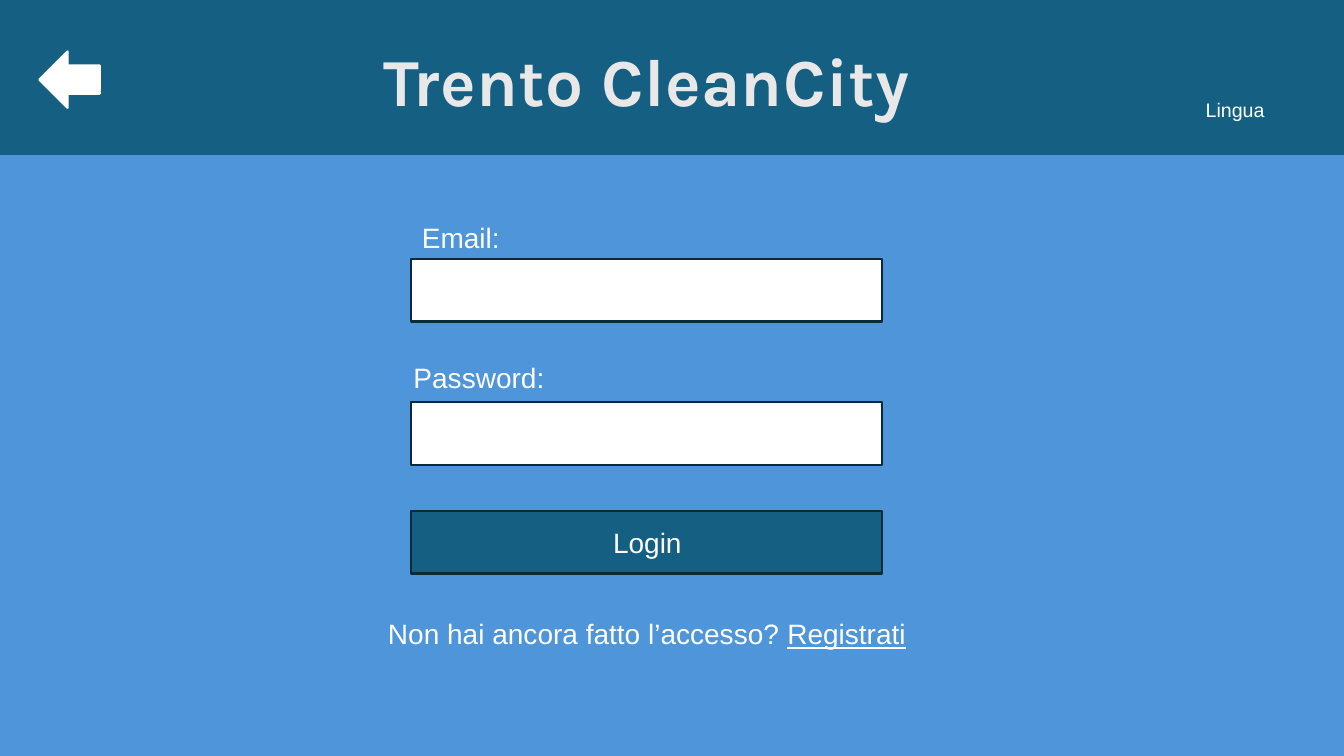
"""Build the login screen of the Trento CleanCity app as one slide."""
from dataclasses import dataclass

from pptx import Presentation
from pptx.dml.color import RGBColor
from pptx.enum.shapes import MSO_SHAPE as Preset
from pptx.enum.text import MSO_AUTO_SIZE as AutoSize, PP_ALIGN as Align
from pptx.slide import Slide
from pptx.util import Inches, Pt

SLIDE_WIDTH, SLIDE_HEIGHT = Inches(13.33), Inches(7.5)


@dataclass(frozen=True)
class Theme:
    """Colours, fonts and type sizes of the slide."""
    header: str = "156082"
    body: str = "4E95D9"
    outline: str = "092A39"
    white: str = "FFFFFF"
    title: str = "E8E8E8"
    text_font: str = "Arial"
    title_font: str = "Karla"
    small_size: int = 14
    text_size: int = 20
    title_size: int = 48
    line_width: float = 1.5
    title_tracking: str = "30"


THEME = Theme()


@dataclass(frozen=True)
class Area:
    """A rectangle in percent of the slide's width and height."""
    left: float
    top: float
    width: float
    height: float

    def lengths(self) -> tuple[int, int, int, int]:
        """Return left, top, width and height as slide lengths."""
        return (int(SLIDE_WIDTH * self.left / 100), int(SLIDE_HEIGHT * self.top / 100),
                int(SLIDE_WIDTH * self.width / 100), int(SLIDE_HEIGHT * self.height / 100))


@dataclass(frozen=True)
class Block:
    """A filled shape with an optional outline."""
    area: Area
    fill: str
    line: str | None = None
    preset: Preset = Preset.RECTANGLE


@dataclass(frozen=True)
class Label:
    """A centred line of text with an optional underlined ending."""
    area: Area
    text: str
    link: str = ""
    size: int = THEME.text_size
    font: str = THEME.text_font
    color: str = THEME.white
    bold: bool | None = None
    tracking: str | None = None


def field_area(top: float) -> Area:
    """Return the area of a form field at the given top."""
    return Area(30.61, top, 35.03, 8.27)


def caption_area(left: float, top: float) -> Area:
    """Return the area of a short caption."""
    return Area(left, top, 12.75, 5.87)


BLOCKS = (
    Block(Area(0, 20.53, 100, 79.47), THEME.body),
    Block(field_area(34.27), THEME.white, THEME.outline),
    Block(field_area(53.2), THEME.white, THEME.outline),
    Block(field_area(67.6), THEME.header, THEME.outline),
    Block(Area(2.93, 6.8, 4.5, 7.47), THEME.white, THEME.white, Preset.LEFT_ARROW),
)

LABELS = (
    Label(caption_area(27.91, 28.53), "Email:"),
    Label(caption_area(29.26, 47.07), "Password:"),
    Label(caption_area(41.79, 68.8), "Login"),
    Label(Area(27.46, 80.93, 41.34, 5.87), "Non hai ancora fatto l’accesso? ", "Registrati"),
    Label(Area(85.75, 12.27, 12.3, 7.07), "Lingua", size=THEME.small_size),
    Label(Area(26.11, 4.53, 44.04, 12.13), "Trento CleanCity", size=THEME.title_size,
          font=THEME.title_font, color=THEME.title, bold=True,
          tracking=THEME.title_tracking),
)


def apply_format(target: object, values: dict[str, object]) -> None:
    """Set each named attribute of the target."""
    for name, value in values.items():
        setattr(target, name, value)


def draw_block(slide: Slide, block: Block) -> None:
    """Draw a filled shape."""
    shape = slide.shapes.add_shape(block.preset, *block.area.lengths())
    shape.shadow.inherit = False
    shape.fill.solid()
    shape.fill.fore_color.rgb = RGBColor.from_string(block.fill)
    if block.line is None:
        shape.line.fill.background()
    else:
        shape.line.color.rgb = RGBColor.from_string(block.line)
        shape.line.width = Pt(THEME.line_width)


def draw_label(slide: Slide, label: Label) -> None:
    """Draw a centred text box."""
    frame = slide.shapes.add_textbox(*label.area.lengths()).text_frame
    apply_format(frame, {"word_wrap": True, "auto_size": AutoSize.SHAPE_TO_FIT_TEXT})
    paragraph = frame.paragraphs[0]
    paragraph.alignment = Align.CENTER
    for text, underline in ((label.text, None), (label.link, True)):
        if not text:
            continue
        run = paragraph.add_run()
        run.text = text
        apply_format(run.font, {"name": label.font, "size": Pt(label.size),
                                "bold": label.bold, "underline": underline})
        run.font.color.rgb = RGBColor.from_string(label.color)
        if label.tracking:
            run.font._element.set("spc", label.tracking)


def main() -> None:
    """Create and save the presentation."""
    presentation = Presentation()
    apply_format(presentation, {"slide_width": SLIDE_WIDTH, "slide_height": SLIDE_HEIGHT})
    slide = presentation.slides.add_slide(presentation.slide_layouts[6])
    slide.background.fill.solid()
    slide.background.fill.fore_color.rgb = RGBColor.from_string(THEME.header)
    for block in BLOCKS:
        draw_block(slide, block)
    for label in LABELS:
        draw_label(slide, label)
    presentation.save("out.pptx")


if __name__ == "__main__":
    main()
